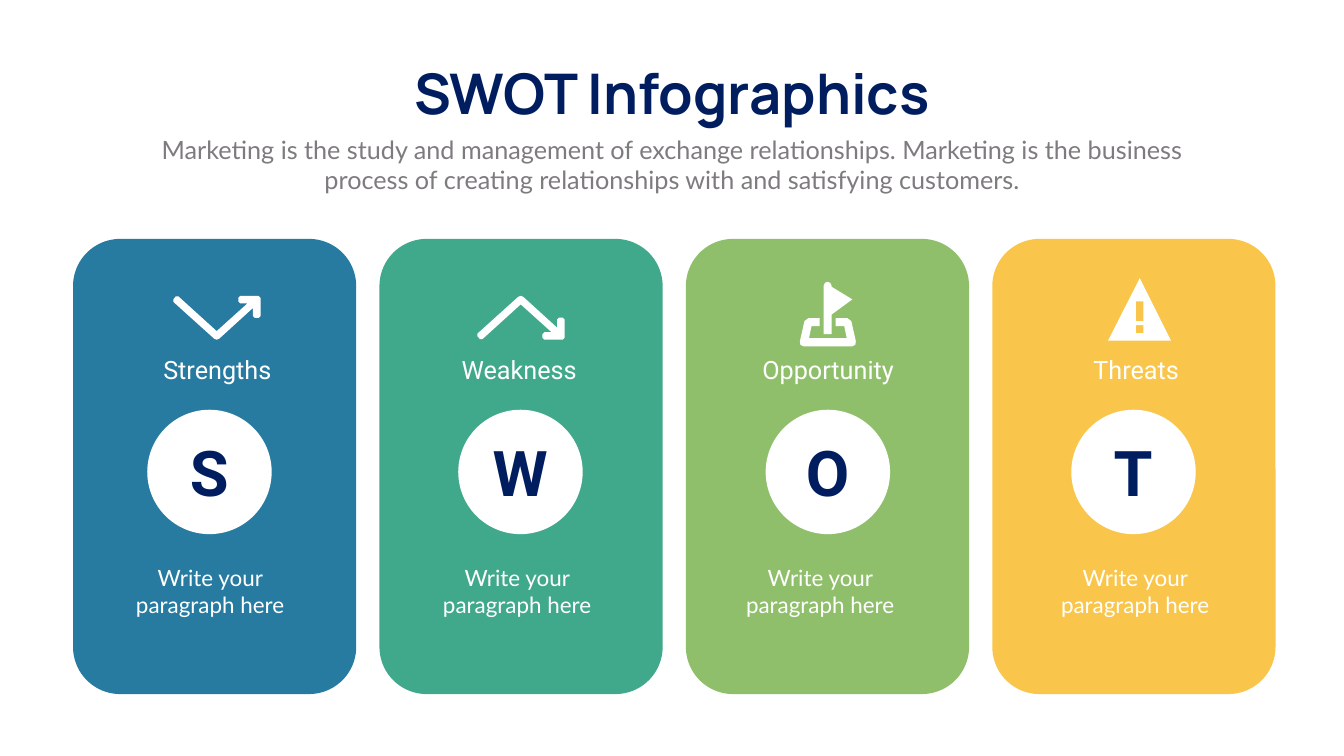
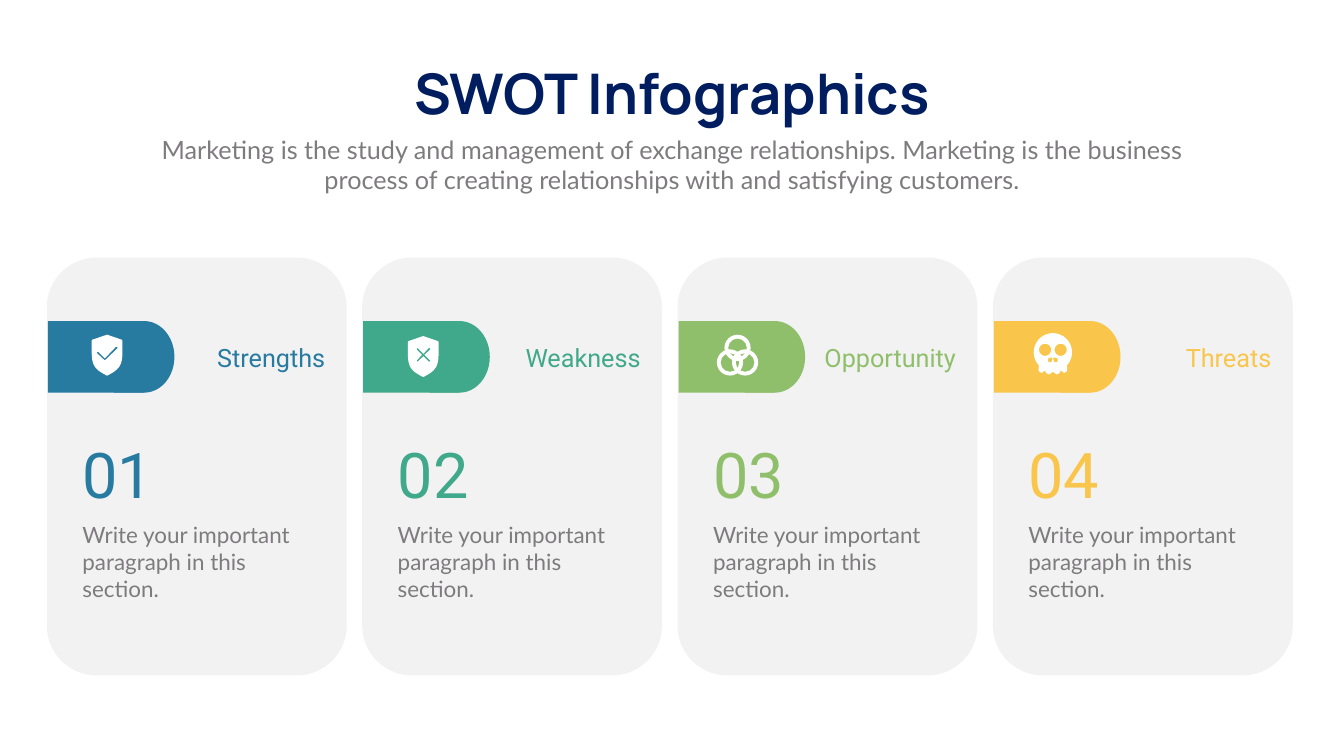
import math

import pptx
import pptx.dml.color
import pptx.enum.shapes
import pptx.enum.text
import pptx.util

Cm = pptx.util.Cm
RGBColor = pptx.dml.color.RGBColor
SHAPE = pptx.enum.shapes.MSO_SHAPE
ANCHOR = pptx.enum.text.MSO_ANCHOR
AUTO_SIZE = pptx.enum.text.MSO_AUTO_SIZE
LEFT, CENTER, RIGHT = (pptx.enum.text.PP_ALIGN.LEFT, pptx.enum.text.PP_ALIGN.CENTER,
                       pptx.enum.text.PP_ALIGN.RIGHT)

NAVY = RGBColor(0x00, 0x1E, 0x5F)
GRAY = RGBColor(0x7E, 0x7B, 0x7E)
PALE = RGBColor(0xF2, 0xF2, 0xF2)
WHITE = RGBColor(0xFF, 0xFF, 0xFF)
BLUE = RGBColor(0x27, 0x7B, 0xA1)
TEAL = RGBColor(0x41, 0xA9, 0x8B)
GREEN = RGBColor(0x90, 0xBF, 0x6C)
YELLOW = RGBColor(0xF9, 0xC6, 0x4B)

TITLE = "SWOT Infographics"
SUBTITLE = ("Marketing is the study and management of exchange relationships. "
            "Marketing is the business process of creating relationships with "
            "and satisfying customers.")
TOPICS = [("Strengths", BLUE), ("Weakness", TEAL), ("Opportunity", GREEN), ("Threats", YELLOW)]
CARD_TEXT = "Write your paragraph here"
PANEL_TEXT = "Write your important paragraph in this section."

# Left edges in cm on the colour cards: badge, label, paragraph; then icon left and top
CARD_PLACES = [
    (7.42, 6.81, 6.6, 8.71, 14.91),
    (23.09, 22.02, 22.07, 24.03, 14.91),
    (38.58, 37.59, 37.34, 40.28, 14.2),
    (53.98, 53.11, 53.21, 55.83, 14.02),
]
# Icon left and top in cm on the gray panels
PANEL_ICON_PLACES = [(4.62, 16.87), (20.55, 16.94), (36.12, 16.87), (52.1, 16.79)]

ICON_UNIT = 0.0254  # cm per step of the icon grid
FINE = 10           # subdivisions of one step, for smooth curves


def arc(cx, cy, r, start=0, end=360, steps=36):
    angles = [math.radians(start + (end - start) * i / steps) for i in range(steps + 1)]
    return [(cx + r * math.cos(a), cy + r * math.sin(a)) for a in angles]


def curve(a, b, c, d, steps=12):
    """Points of a cubic Bezier curve."""
    pts = []
    for i in range(steps + 1):
        t = i / steps
        weights = ((1 - t) ** 3, 3 * t * (1 - t) ** 2, 3 * t * t * (1 - t), t ** 3)
        pts.append(tuple(sum(w * q[k] for w, q in zip(weights, (a, b, c, d))) for k in (0, 1)))
    return pts


def box(left, top, right, bottom):
    return [(left, top), (right, top), (right, bottom), (left, bottom)]


def mirrored(points, width):
    return [(width - x, y) for x, y in reversed(points)]


RISE = [(170, 0), (134, 0), (130, 4), (130, 11), (134, 15), (148, 15), (87, 70), (11, 1),
        (6, 1), (1, 7), (1, 12), (82, 85), (87, 87), (92, 85), (159, 24), (159, 40),
        (163, 44), (170, 44), (174, 40), (174, 4)]
FALL = [(x, 87 - y) for x, y in RISE]
HOLE = [(112, 118), (103, 78), (95, 72), (72, 72), (72, 88), (89, 88), (94, 112), (19, 112),
        (24, 88), (40, 88), (40, 72), (18, 72), (10, 78), (1, 118), (2, 125), (8, 128),
        (105, 128), (111, 125)]
FLAG = [(64, 65), (105, 35), (64, 10), (64, 8), (61, 2), (56, 0), (51, 2), (48, 8),
        (48, 104), (64, 104)]
WARNING = [[(63, 0), (0, 124), (125, 124)], box(55, 93, 70, 109), box(55, 46, 70, 85)]

SHIELD_SIDE = [(30, 0), (1, 10), (0, 12)] + curve((0, 32), (0, 59), (4, 68), (30, 81))
SHIELD = SHIELD_SIDE + mirrored(SHIELD_SIDE, 61)
CHECK = [(51, 27), (27, 50), (26, 51), (25, 50), (11, 37), (11, 34), (13, 34), (26, 47),
         (48, 24), (51, 24)]
CROSS = [(44, 48), (44, 50), (43, 51), (41, 50), (31, 40), (20, 50), (19, 51), (18, 50),
         (18, 48), (28, 37), (18, 27), (18, 24), (20, 24), (31, 35), (41, 24), (44, 24),
         (44, 27), (33, 37)]
TEETH = [(9, 67), (9, 75), (15, 79), (22, 74), (24, 79), (30, 82), (37, 77)]
NOSTRIL = [(37, 50), (35, 57), (32, 58), (28, 57), (28, 50), (35, 48)]
SKULL = [arc(37.5, 38, 38, 44, -224) + TEETH + mirrored(TEETH, 75),
         arc(22, 33, 12), arc(53, 33, 12), NOSTRIL, mirrored(NOSTRIL, 75)]
RING_CENTERS = [(41, 26), (26, 55), (56, 55)]
RING_RADIUS, RING_BAND = 26, 7.5

CARD_ICONS = [[RISE], [FALL], [HOLE, FLAG], WARNING]
PANEL_ICONS = [[SHIELD, CHECK], [SHIELD, CROSS], None, SKULL]  # None: the rings


def paint(sp, color):
    sp.shadow.inherit = False
    sp.fill.solid()
    sp.fill.fore_color.rgb = color
    sp.line.fill.background()
    return sp


def add_block(shapes, kind, x, y, w, h, color):
    return paint(shapes.add_shape(kind, Cm(x), Cm(y), Cm(w), Cm(h)), color)


def add_icon(shapes, contours, x, y):
    """Draw contours as one white outline; inner contours become holes."""
    builder = None
    for contour in contours:
        pts = [(px * FINE, py * FINE) for px, py in contour]
        if builder is None:
            builder = shapes.build_freeform(*pts[0], scale=Cm(ICON_UNIT) / FINE)
        else:
            builder.move_to(*pts[0])
        builder.add_line_segments(pts[1:], close=True)
    paint(builder.convert_to_shape(Cm(x), Cm(y)), WHITE)


def add_rings(shapes, x, y):
    size = 2 * RING_RADIUS * ICON_UNIT
    for cx, cy in RING_CENTERS:
        ring = add_block(shapes, SHAPE.DONUT, x + (cx - RING_RADIUS) * ICON_UNIT,
                         y + (cy - RING_RADIUS) * ICON_UNIT, size, size, WHITE)
        ring.adjustments[0] = RING_BAND / (2 * RING_RADIUS)


def write(sp, text, font, size, color, align, bold=False):
    tf = sp.text_frame
    tf.word_wrap = True
    tf.vertical_anchor = ANCHOR.TOP
    tf.text = text
    p = tf.paragraphs[0]
    p.alignment = align
    p.space_before = 0
    p.font.name = font
    p.font.size = pptx.util.Pt(size)
    p.font.bold = bold
    p.font.color.rgb = color
    return tf


def add_text(shapes, x, y, w, h, *style, **options):
    sp = shapes.add_textbox(Cm(x), Cm(y), Cm(w), Cm(h))
    write(sp, *style, **options).auto_size = AUTO_SIZE.SHAPE_TO_FIT_TEXT


def place(sp, x, y, w, h):
    sp.left, sp.top, sp.width, sp.height = Cm(x), Cm(y), Cm(w), Cm(h)


def add_headed_slide(prs):
    slide = prs.slides.add_slide(prs.slide_layouts[0])
    title, subtitle = slide.shapes.title, slide.placeholders[1]
    place(title, 19.61, 2.84, 28.5, 3.68)
    tf = write(title, TITLE, "Manrope", 80, NAVY, CENTER, bold=True)
    tf.word_wrap = False
    tf.auto_size = AUTO_SIZE.NONE
    place(subtitle, 7.42, 6.63, 52.88, 3.33)
    write(subtitle, SUBTITLE, "Lato", 36, GRAY, CENTER).auto_size = AUTO_SIZE.NONE
    return slide


def build_cards(prs):
    shapes = add_headed_slide(prs).shapes
    columns = zip(TOPICS, CARD_PLACES, CARD_ICONS)
    for i, ((name, color), places, icon) in enumerate(columns):
        badge_x, label_x, text_x, icon_x, icon_y = places
        add_block(shapes, SHAPE.ROUNDED_RECTANGLE, 3.68 + i * 15.44, 12.04, 14.27, 22.94, color)
        add_block(shapes, SHAPE.OVAL, badge_x, 20.65, 6.27, 6.27, WHITE)
        add_text(shapes, badge_x + 1.28, 21.74, 3.68, 4.11,
                 name[0], "Roboto", 90, NAVY, CENTER, bold=True)
        add_text(shapes, text_x, 28.32, 7.98, 3, CARD_TEXT, "Lato", 32, WHITE, CENTER)
        add_text(shapes, label_x, 17.75, 8.28, 1.8, name, "Roboto", 36, WHITE, CENTER)
        add_icon(shapes, icon, icon_x, icon_y)


def build_panels(prs):
    shapes = add_headed_slide(prs).shapes
    columns = zip(TOPICS, PANEL_ICON_PLACES, PANEL_ICONS)
    for i, ((name, color), icon_place, icon) in enumerate(columns):
        x = 2.36 + i * 15.89
        add_block(shapes, SHAPE.ROUNDED_RECTANGLE, x, 12.98, 15.11, 21.06, PALE)
        tab = shapes.add_group_shape().shapes
        add_block(tab, SHAPE.FLOWCHART_DELAY, x + 3.38, 16.18, 3.05, 3.61, color)
        add_block(tab, SHAPE.RECTANGLE, x + 0.05, 16.18, 4.85, 3.61, color)
        add_text(shapes, x + 1.54, 21.82, 4.9, 4.11, f"{i + 1:02}", "Roboto", 90, color, LEFT)
        add_text(shapes, x + 1.54, 26.16, 12.29, 4.37, PANEL_TEXT, "Lato", 32, GRAY, LEFT)
        add_text(shapes, x + 6, 17.15, 8.28, 1.8, name, "Roboto", 36, color, RIGHT)
        if icon:
            add_icon(shapes, icon, *icon_place)
        else:
            add_rings(shapes, *icon_place)


def main():
    prs = pptx.Presentation()
    prs.slide_width, prs.slide_height = Cm(67.72), Cm(38.1)
    build_cards(prs)
    build_panels(prs)
    prs.save("out.pptx")


if __name__ == "__main__":
    main()
